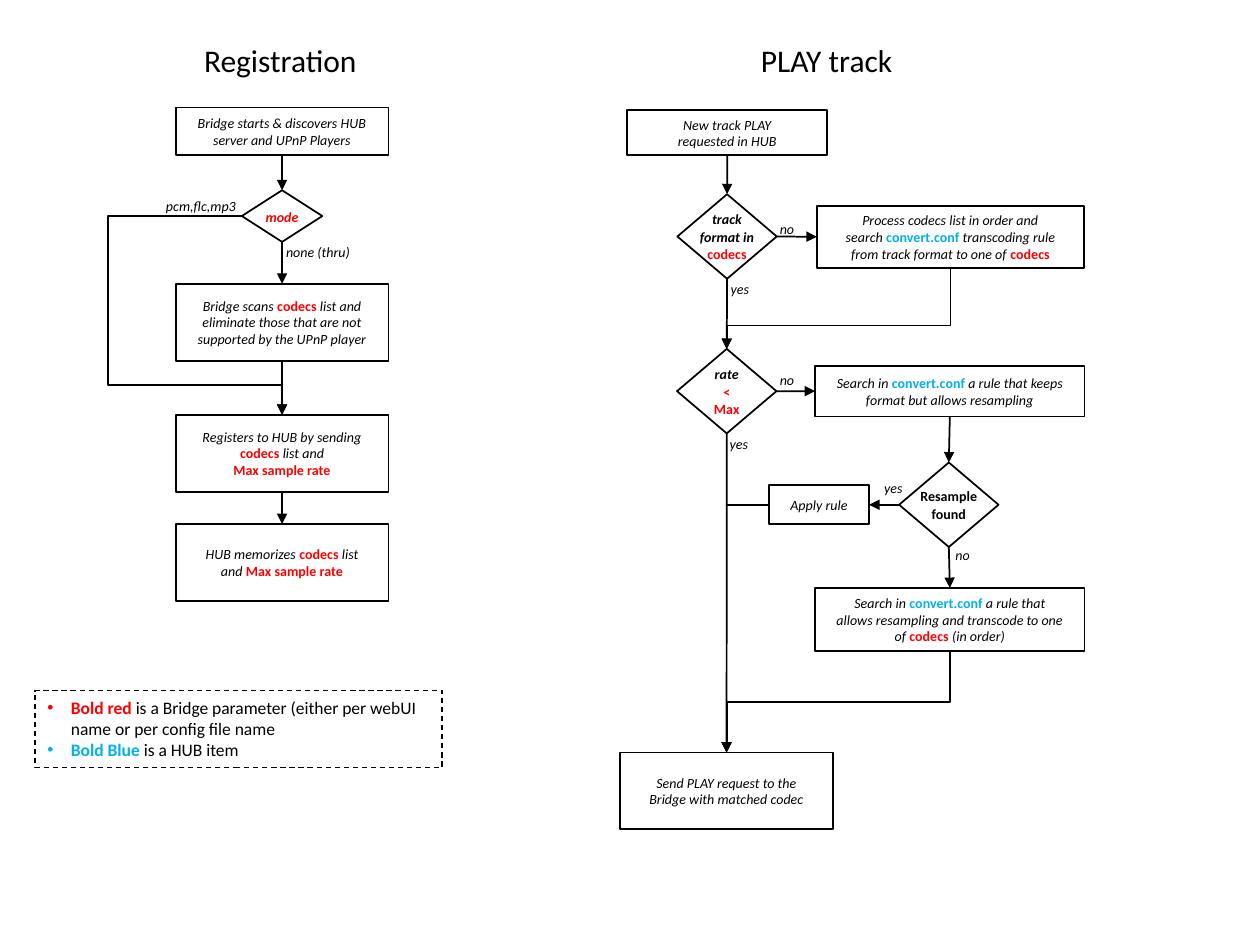
from lxml import etree
from pptx import Presentation
from pptx.dml.color import RGBColor
from pptx.enum.dml import MSO_LINE
from pptx.enum.shapes import MSO_CONNECTOR, MSO_SHAPE
from pptx.enum.text import MSO_ANCHOR, PP_ALIGN
from pptx.oxml.ns import qn
from pptx.util import Pt

RECTANGLE = MSO_SHAPE.RECTANGLE
DECISION = MSO_SHAPE.FLOWCHART_DECISION
STRAIGHT, ELBOW = MSO_CONNECTOR.STRAIGHT, MSO_CONNECTOR.ELBOW
LEFT_ALIGN, CENTER = PP_ALIGN.LEFT, PP_ALIGN.CENTER
TOP_ANCHOR, MIDDLE = MSO_ANCHOR.TOP, MSO_ANCHOR.MIDDLE
DASH = MSO_LINE.DASH
TITLE_ONLY = 5
TOP, LEFT, BOTTOM, RIGHT = range(4)  # connection sites

FONT, BLACK, RED, BLUE = "Calibri", "000000", "FF0000", "00B0F0"
PLAIN = {"color": BLACK}
ITALIC = {"color": BLACK, "italic": True}
BOLD = {"color": BLACK, "bold": True}
BOLD_ITALIC = {"color": BLACK, "bold": True, "italic": True}
PARAMETER = {"color": RED, "bold": True}
HUB_ITEM = {"color": BLUE, "bold": True}


def rgb(color):
    return RGBColor.from_string(color)


def write_text(shape, paragraphs, size=8, align=LEFT_ALIGN, anchor=TOP_ANCHOR,
               wrap=True, insets=(7.2, 3.6), line_spacing=None):
    """Fill a shape; each paragraph is a list of (text, style) runs."""
    frame = shape.text_frame
    frame.word_wrap, frame.vertical_anchor = wrap, anchor
    frame.margin_left = frame.margin_right = Pt(insets[0])
    frame.margin_top = frame.margin_bottom = Pt(insets[1])
    for index, runs in enumerate(paragraphs):
        paragraph = frame.add_paragraph() if index else frame.paragraphs[0]
        paragraph.alignment = align
        if line_spacing:
            paragraph.line_spacing = Pt(line_spacing)
        for text, style in runs:
            run = paragraph.add_run()
            run.text = text
            font = run.font
            font.name, font.size = FONT, Pt(size)
            font.bold = style.get("bold", False)
            font.italic = style.get("italic", False)
            font.color.rgb = rgb(style["color"])


def add_outline(slide, kind, left, top, width, height, weight=1):
    shape = slide.shapes.add_shape(kind, Pt(left), Pt(top), Pt(width), Pt(height))
    shape.shadow.inherit = False
    shape.fill.background()
    shape.line.color.rgb = rgb(BLACK)
    shape.line.width = Pt(weight)
    return shape


def add_step(slide, box, *paragraphs, inset=10.8):
    shape = add_outline(slide, RECTANGLE, *box)
    write_text(shape, paragraphs, align=CENTER, anchor=MIDDLE, insets=(inset, 0))
    return shape


def add_decision(slide, left, top, *paragraphs, width=56.8, height=48.3):
    shape = add_outline(slide, DECISION, left, top, width, height)
    write_text(shape, paragraphs, align=CENTER, anchor=MIDDLE, wrap=False,
               insets=(0, 0), line_spacing=10)
    return shape


def add_label(slide, text, left, top, width, height=17, style=ITALIC, **text_format):
    box = slide.shapes.add_textbox(Pt(left), Pt(top), Pt(width), Pt(height))
    write_text(box, [[(text, style)]], **text_format)


def add_arrow(slide, start, start_site, end, end_site, kind=STRAIGHT):
    connector = slide.shapes.add_connector(kind, 0, 0, 0, 0)
    connector.begin_connect(start, start_site)
    connector.end_connect(end, end_site)
    connector.line.color.rgb = rgb(BLACK)
    connector.line.width = Pt(1)
    properties = connector.element.spPr
    etree.SubElement(properties.find(qn("a:ln")), qn("a:tailEnd"), type="triangle")
    etree.SubElement(properties, qn("a:effectLst"))
    return connector


def add_elbow(slide, start, start_site, end, end_site, preset, *adjustments):
    """Bent arrow; one that leaves downwards is a quarter turn of the preset."""
    connector = add_arrow(slide, start, start_site, end, end_site, ELBOW)
    properties = connector.element.spPr
    geometry = properties.find(qn("a:prstGeom"))
    geometry.set("prst", preset)
    guides = geometry.find(qn("a:avLst"))
    for number, value in enumerate(adjustments, 1):
        etree.SubElement(guides, qn("a:gd"), name=f"adj{number}", fmla=f"val {value}")
    if start_site == BOTTOM:
        width, height = connector.width, connector.height
        connector.left += (width - height) // 2
        connector.top += (height - width) // 2
        connector.width, connector.height = height, width
        transform = properties.find(qn("a:xfrm"))
        transform.attrib.pop("flipH", None)
        transform.set("rot", "5400000")


def add_legend(slide):
    box = add_outline(slide, RECTANGLE, 20, 394.6, 232.6, 44, weight=0.75)
    box.line.dash_style = DASH
    write_text(box, [
        [("Bold red ", PARAMETER),
         ("is a Bridge parameter (either per webUI name or per config file name", PLAIN)],
        [("Bold Blue ", HUB_ITEM), ("is a HUB item", PLAIN)],
    ], size=10)
    for paragraph in box.text_frame.paragraphs:
        properties = paragraph._p.get_or_add_pPr()
        properties.set("marL", str(Pt(13.5)))
        properties.set("indent", str(-Pt(13.5)))
        etree.SubElement(properties, qn("a:buFont"), typeface="Arial")
        etree.SubElement(properties, qn("a:buChar"), char="•")


def add_registration(slide):
    title = slide.shapes.title
    title.left, title.top, title.width, title.height = Pt(109.4), Pt(19.8), Pt(103), Pt(29)
    write_text(title, [[("Registration", PLAIN)]], size=18, wrap=False)

    # Steps of the left column
    left, width, height = 100.4, 121.6, 44
    discover = add_step(slide, (left, 61.4, width, 27.4),
                        [("Bridge starts & discovers HUB server and UPnP Players", ITALIC)])
    mode = add_decision(slide, 138.2, 108.7, [("mode", {**PARAMETER, "italic": True})],
                        width=46, height=29.5)
    scan = add_step(slide, (left, 162.2, width, height),
                    [("Bridge scans ", ITALIC), ("codecs ", PARAMETER),
                     ("list and eliminate those that are not supported by the UPnP player", ITALIC)])
    register = add_step(slide, (left, 237, width, height),
                        [("Registers to HUB by sending ", ITALIC), ("codecs ", PARAMETER),
                         ("list and", ITALIC)],
                        [("Max sample rate", PARAMETER)])
    memorize = add_step(slide, (left, 299.5, width, height),
                        [("HUB memorizes ", ITALIC), ("codecs ", PARAMETER),
                         ("list and ", ITALIC), ("Max sample rate", PARAMETER)])

    # Flow
    flow = [discover, mode, scan, register, memorize]
    for start, end in zip(flow, flow[1:]):
        add_arrow(slide, start, BOTTOM, end, TOP)
    add_elbow(slide, mode, LEFT, register, TOP, "bentConnector4", -333400, 84900)
    add_label(slide, "pcm,flc,mp3", 87.8, 109.6, 55.4)
    add_label(slide, "none (thru)", 156.4, 135.6, 60.5)


def add_play_track(slide):
    add_label(slide, "PLAY track", 427.7, 19.8, 90, 29, style=PLAIN, size=18, wrap=False)

    # Main column
    request = add_step(slide, (358.4, 63, 114.4, 25.8),
                       [("New track PLAY", ITALIC)], [("requested in HUB", ITALIC)])
    track = add_decision(slide, 387.1, 111, [("track", BOLD_ITALIC)],
                         [("format in", BOLD_ITALIC)], [("codecs", PARAMETER)])
    rate = add_decision(slide, 386.9, 199.4, [("rate", BOLD_ITALIC)],
                        [("<", PARAMETER)], [("Max", PARAMETER)])
    send = add_step(slide, (354.4, 430, 121.6, 44),
                    [("Send PLAY request to the Bridge with matched codec", ITALIC)])

    # Side branches
    left, width = 465.8, 154
    process = add_step(slide, (466.8, 117.6, 152.6, 35.4),
                       [("Process codecs list in order and search ", ITALIC),
                        ("convert.conf ", HUB_ITEM),
                        ("transcoding rule from track format to one of ", ITALIC),
                        ("codecs", PARAMETER)], inset=15.5)
    keep_format = add_step(slide, (left, 209, width, 29),
                           [("Search in ", ITALIC), ("convert.conf ", HUB_ITEM),
                            ("a rule that keeps format but allows resampling", ITALIC)])
    resample = add_decision(slide, 513.8, 264.3, [("Resample", BOLD)], [("found", BOLD)])
    apply_rule = add_step(slide, (439.3, 277.3, 57.4, 22.3), [("Apply rule", ITALIC)])
    transcode = add_step(slide, (left, 336, width, 36),
                         [("Search in ", ITALIC), ("convert.conf ", HUB_ITEM),
                          ("a rule that allows resampling and transcode to one of ", ITALIC),
                          ("codecs", PARAMETER), (" (in order)", ITALIC)], inset=12)

    # Flow
    for start, end in [(request, track), (track, rate), (rate, send),
                       (keep_format, resample), (resample, transcode)]:
        add_arrow(slide, start, BOTTOM, end, TOP)
    for start, end in [(track, process), (rate, keep_format)]:
        add_arrow(slide, start, RIGHT, end, LEFT)
    add_arrow(slide, resample, LEFT, apply_rule, RIGHT)
    add_elbow(slide, process, BOTTOM, rate, TOP, "bentConnector3", 71100)
    add_elbow(slide, apply_rule, LEFT, send, TOP, "bentConnector2")
    add_elbow(slide, transcode, BOTTOM, send, TOP, "bentConnector3", 50000)

    # Branch labels
    for text, label_left, top in [("no", 438.5, 122.6), ("yes", 410.4, 157), ("no", 438.5, 209),
                                  ("yes", 409.9, 245.6), ("yes", 498.2, 270.6), ("no", 538.8, 309)]:
        add_label(slide, text, label_left, top, 27.4)


def main():
    presentation = Presentation()
    presentation.slide_width, presentation.slide_height = Pt(720), Pt(540)
    slide = presentation.slides.add_slide(presentation.slide_layouts[TITLE_ONLY])
    add_registration(slide)
    add_play_track(slide)
    add_legend(slide)
    presentation.save("out.pptx")


if __name__ == "__main__":
    main()
